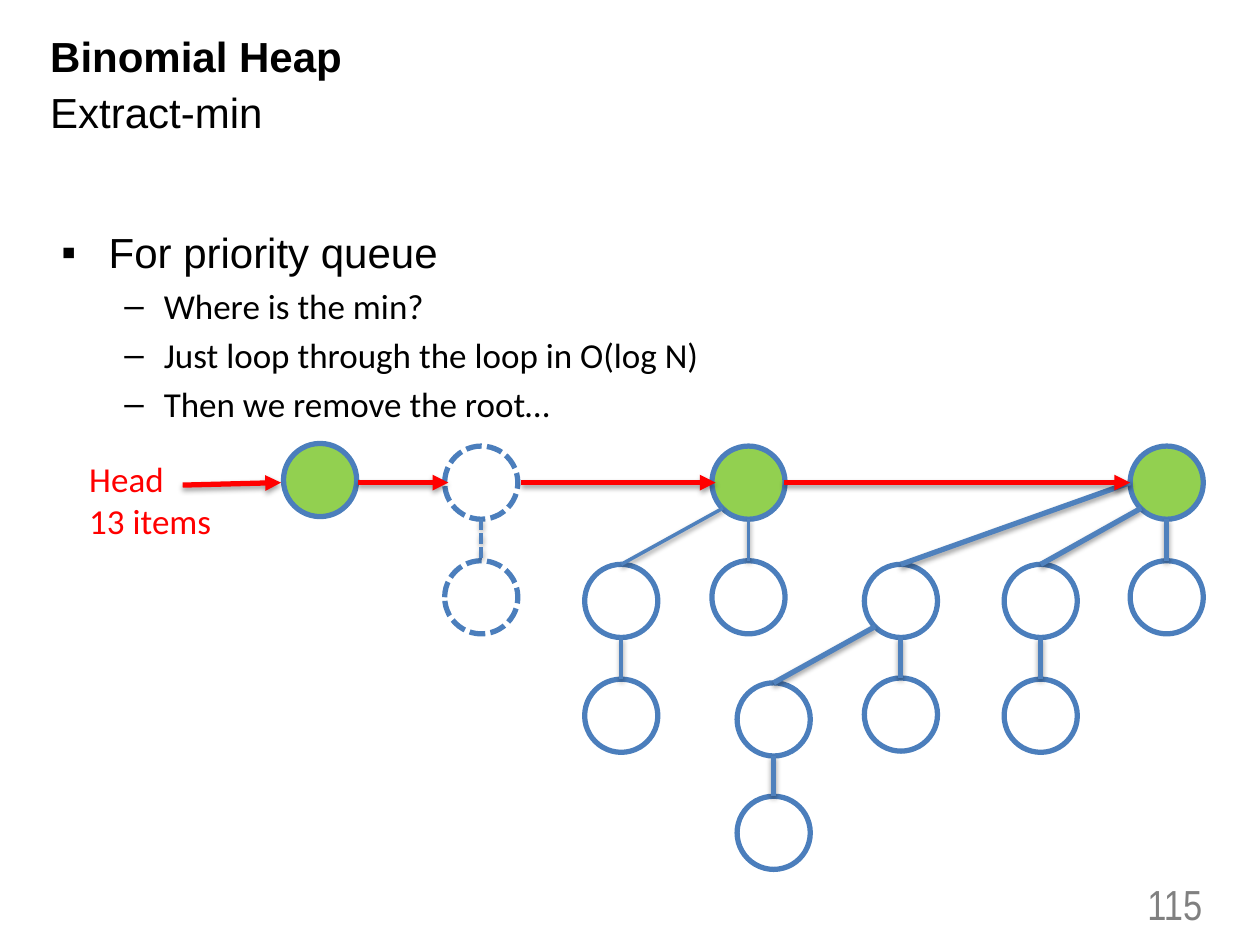
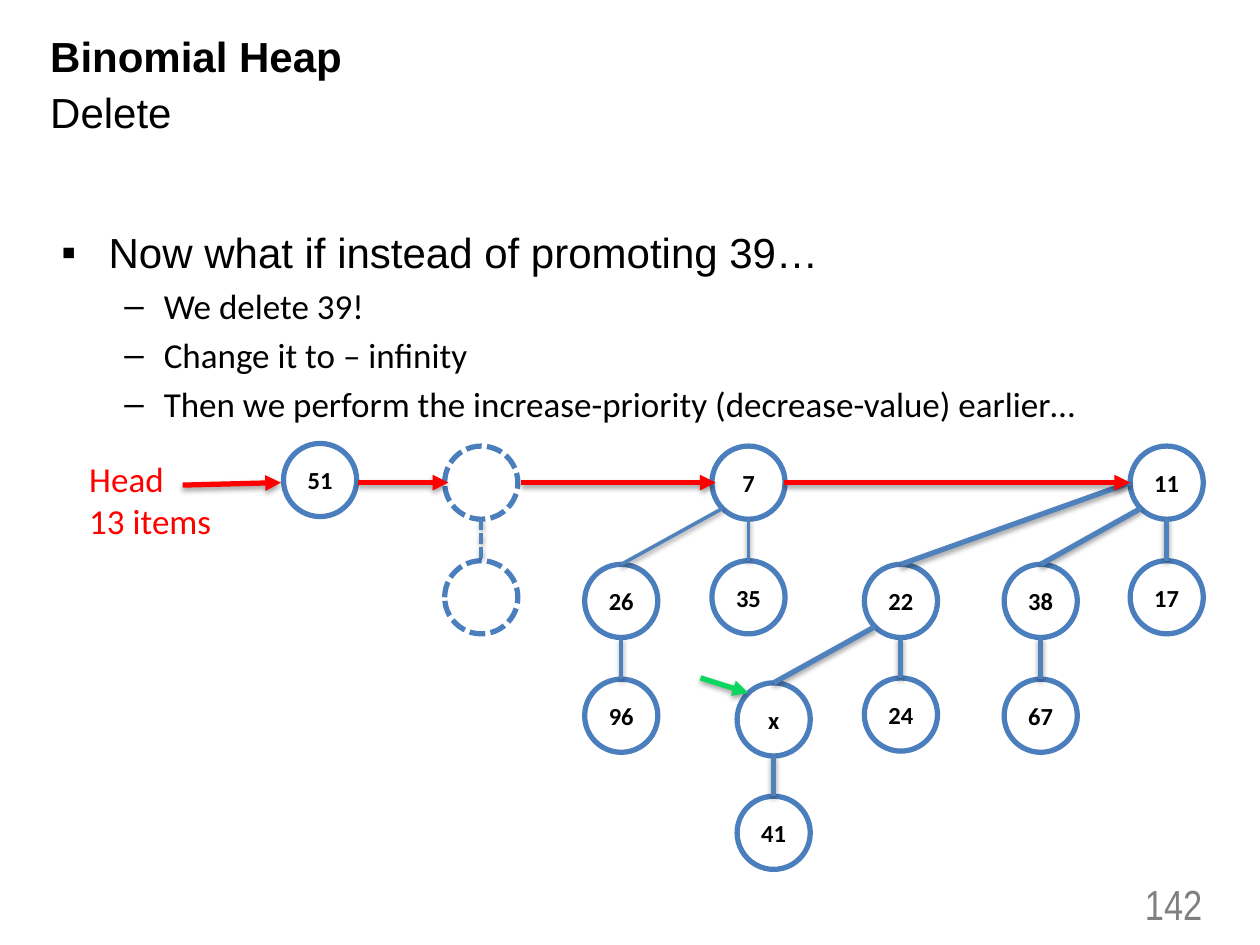
from dataclasses import dataclass

from lxml.etree import SubElement
from pptx import Presentation
from pptx.dml.color import RGBColor
from pptx.enum.dml import MSO_LINE_DASH_STYLE as Dash
from pptx.enum.shapes import MSO_CONNECTOR as Connector, MSO_SHAPE as Shape
from pptx.enum.text import MSO_ANCHOR as Anchor, PP_ALIGN as Align
from pptx.oxml.ns import qn
from pptx.util import Pt


@dataclass(frozen=True)
class Theme:
    ink: str = "000000"
    number_grey: str = "808080"
    node_outline: str = "4B7EBC"
    edge: str = "4F81BD"
    root_fill: str = "92D050"
    list_red: str = "FF0000"
    pointer_green: str = "0BD760"
    heading_font: str = "Arial"
    body_font: str = "Calibri"
    number_font: str = "Arial Narrow"
    heading_size: int = 24
    body_size: int = 20
    key_size: int = 14
    stroke: int = 3
    thin_stroke: int = 2


THEME = Theme()
DIAMETER = 41.8
RADIUS = DIAMETER / 2
DIAGONAL = RADIUS * 0.7

# Heap nodes: centre of each, named by key
NODES = {
    "22": (514.8, 343.4), "24": (514.8, 408.3),
    "x": (442.1, 411.1), "41": (442.1, 475.9),
    "11": (666.7, 275.8), "17": (666.7, 341.3),
    "38": (594.7, 343.4), "67": (594.7, 409),
    "7": (427.7, 275.8), "35": (427.7, 341.3),
    "26": (355, 343.4), "96": (355, 409),
    "gone root": (275, 275.8), "gone child": (275, 341.3),
    "51": (182.9, 274.3),
}
REMOVED = ("gone root", "gone child")
ROOTS = ("51", "7", "11")

# Where an edge leaves its parent, relative to the centre
BELOW = (0, RADIUS)
LOWER_LEFT = (-DIAGONAL, DIAGONAL)
LEFT = (-RADIUS, 0)
EDGES = [
    ("22", "24", BELOW, THEME.stroke), ("x", "41", BELOW, THEME.stroke),
    ("22", "x", LOWER_LEFT, THEME.stroke), ("11", "17", BELOW, THEME.stroke),
    ("38", "67", BELOW, THEME.stroke), ("11", "38", LOWER_LEFT, THEME.stroke),
    ("11", "22", LEFT, THEME.stroke), ("7", "35", BELOW, THEME.thin_stroke),
    ("26", "96", BELOW, THEME.thin_stroke), ("7", "26", LOWER_LEFT, THEME.thin_stroke),
    ("gone root", "gone child", BELOW, THEME.thin_stroke),
]

# Links of the root list, from the head onwards
ROOT_LINKS = [
    ((104.4, 277.2), (160.6, 275.8)),
    ((204.5, 275.8), (256.3, 275.8)),
    ((298, 275.8), (409, 275.8)),
    ((447.8, 275.8), (645.8, 275.8)),
]


def rgb(value):
    return RGBColor.from_string(value)


class HeapDeck:
    def __init__(self, theme):
        self.theme = theme
        self.deck = Presentation()
        self.deck.slide_width, self.deck.slide_height = Pt(720), Pt(540)
        self.slide = None

    def new_slide(self, operation, number):
        self.slide = self.deck.slides.add_slide(self.deck.slide_layouts[6])
        self.title("Binomial Heap", operation)
        self.page_number(number)

    # Text
    def text_frame(self, left, top, width, height, wrap=True):
        box = self.slide.shapes.add_textbox(Pt(left), Pt(top), Pt(width), Pt(height))
        box.text_frame.word_wrap = wrap
        return box.text_frame

    def run(self, paragraph, text, font, size, color, bold=False):
        run = paragraph.add_run()
        run.text = text
        run.font.name, run.font.size, run.font.bold = font, Pt(size), bold
        run.font.color.rgb = rgb(color)

    def title(self, topic, operation):
        t = self.theme
        frame = self.text_frame(21.6, 17.3, 411, 61.2)
        first, second = frame.paragraphs[0], frame.add_paragraph()
        second.space_before = Pt(6)
        for line, text, bold in ((first, topic, True), (second, operation, False)):
            line.line_spacing = 0.9
            self.run(line, text, t.heading_font, t.heading_size, t.ink, bold)

    def page_number(self, number):
        t = self.theme
        frame = self.text_frame(598.3, 501.8, 95.8, 28.8)
        frame.vertical_anchor = Anchor.MIDDLE
        frame.paragraphs[0].alignment = Align.RIGHT
        self.run(frame.paragraphs[0], number, t.number_font, t.heading_size, t.number_grey)

    def bullet(self, paragraph, mark, margin, hanging):
        properties = paragraph._p.get_or_add_pPr()
        properties.set("marL", str(Pt(margin)))
        properties.set("indent", str(-Pt(hanging)))
        SubElement(properties, qn("a:buFont"), typeface=self.theme.heading_font)
        SubElement(properties, qn("a:buChar"), char=mark)

    def points(self, heading, details):
        t = self.theme
        frame = self.text_frame(28, 126, 648, 356.4)
        lead = frame.paragraphs[0]
        self.bullet(lead, "▪", 27, 27)
        self.run(lead, heading, t.heading_font, t.heading_size, t.ink)
        for detail in details:
            line = frame.add_paragraph()
            line.level = 1
            line.space_before = Pt(4)
            self.bullet(line, "–", 58.5, 22.5)
            self.run(line, detail, t.body_font, t.body_size, t.ink)

    def head_label(self, count):
        t = self.theme
        label = self.text_frame(43.9, 257.8, 85, 55.4, wrap=False).paragraphs[0]
        self.run(label, "Head", t.body_font, t.body_size, t.list_red)
        label.add_line_break()
        self.run(label, count, t.body_font, t.body_size, t.list_red)

    # Diagram
    def node(self, center, key="", fill=None, dashed=False):
        t = self.theme
        x, y = center
        circle = self.slide.shapes.add_shape(
            Shape.OVAL, Pt(x - RADIUS), Pt(y - RADIUS), Pt(DIAMETER), Pt(DIAMETER))
        circle.shadow.inherit = False
        if fill:
            circle.fill.solid()
            circle.fill.fore_color.rgb = rgb(fill)
        else:
            circle.fill.background()
        circle.line.color.rgb = rgb(t.node_outline)
        circle.line.width = Pt(t.stroke)
        if dashed:
            circle.line.dash_style = Dash.SQUARE_DOT
        if key:
            frame = circle.text_frame
            frame.word_wrap = False
            frame.vertical_anchor = Anchor.MIDDLE
            frame.paragraphs[0].alignment = Align.CENTER
            self.run(frame.paragraphs[0], key, t.body_font, t.key_size, t.ink, True)

    def line(self, start, end, color, width, dashed=False, arrow=False):
        link = self.slide.shapes.add_connector(
            Connector.STRAIGHT, *(Pt(value) for value in (*start, *end)))
        link.line.color.rgb = rgb(color)
        link.line.width = Pt(width)
        if dashed:
            link.line.dash_style = Dash.SQUARE_DOT
        properties = link._element.spPr
        if arrow:
            SubElement(properties.find(qn("a:ln")), qn("a:tailEnd"), type="triangle")
        # Soft shadow straight below
        effects = SubElement(properties, qn("a:effectLst"))
        shadow = SubElement(effects, qn("a:outerShdw"), blurRad=str(Pt(3.1)),
                            dist=str(Pt(1.6)), dir="5400000", rotWithShape="0")
        black = SubElement(shadow, qn("a:srgbClr"), val=self.theme.ink)
        SubElement(black, qn("a:alpha"), val="38000")

    def arrow(self, start, tip, color):
        self.line(start, tip, color, self.theme.stroke, arrow=True)

    def heap(self, show_keys, root_fill=None):
        for key, center in NODES.items():
            removed = key in REMOVED
            self.node(center, key if show_keys and not removed else "",
                      root_fill if key in ROOTS else None, removed)
        for parent, child, (dx, dy), width in EDGES:
            (px, py), (cx, cy) = NODES[parent], NODES[child]
            self.line((px + dx, py + dy), (cx, cy - RADIUS), self.theme.edge,
                      width, dashed=parent in REMOVED)
        for start, tip in ROOT_LINKS:
            self.arrow(start, tip, self.theme.list_red)
        self.head_label("13 items")


def main():
    heaps = HeapDeck(THEME)

    # Extract-min: candidate roots highlighted
    heaps.new_slide("Extract-min", "115")
    heaps.points("For priority queue", [
        "Where is the min?",
        "Just loop through the loop in O(log N)",
        "Then we remove the root…",
    ])
    heaps.heap(show_keys=False, root_fill=THEME.root_fill)

    # Delete: the changed key is pointed out
    heaps.new_slide("Delete", "142")
    heaps.points("Now what if instead of promoting 39…", [
        "We delete 39!",
        "Change it to – infinity",
        "Then we perform the increase-priority (decrease-value) earlier…",
    ])
    heaps.heap(show_keys=True)
    heaps.arrow((400.3, 387.4), (427.7, 396), THEME.pointer_green)

    heaps.deck.save("out.pptx")


if __name__ == "__main__":
    main()
